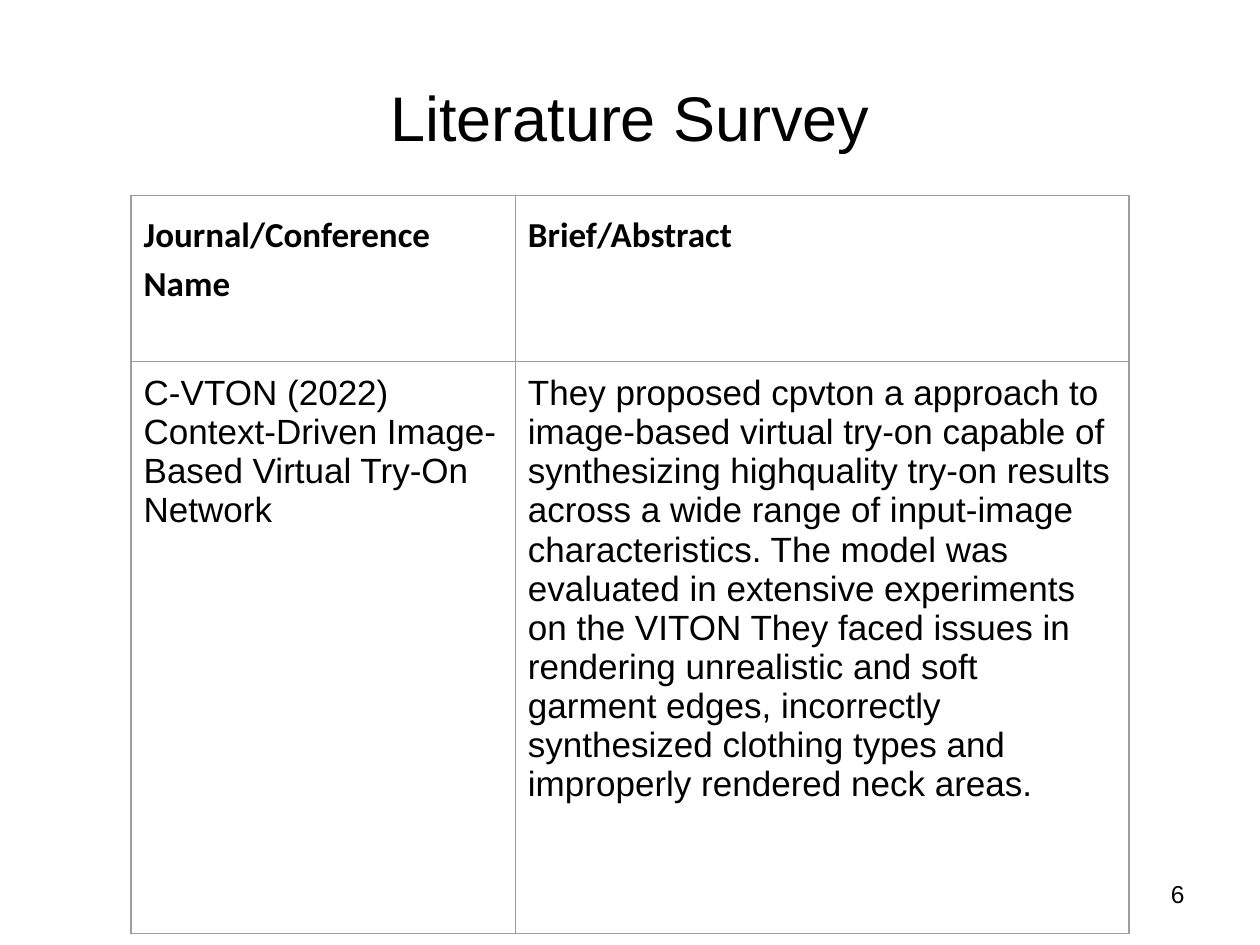
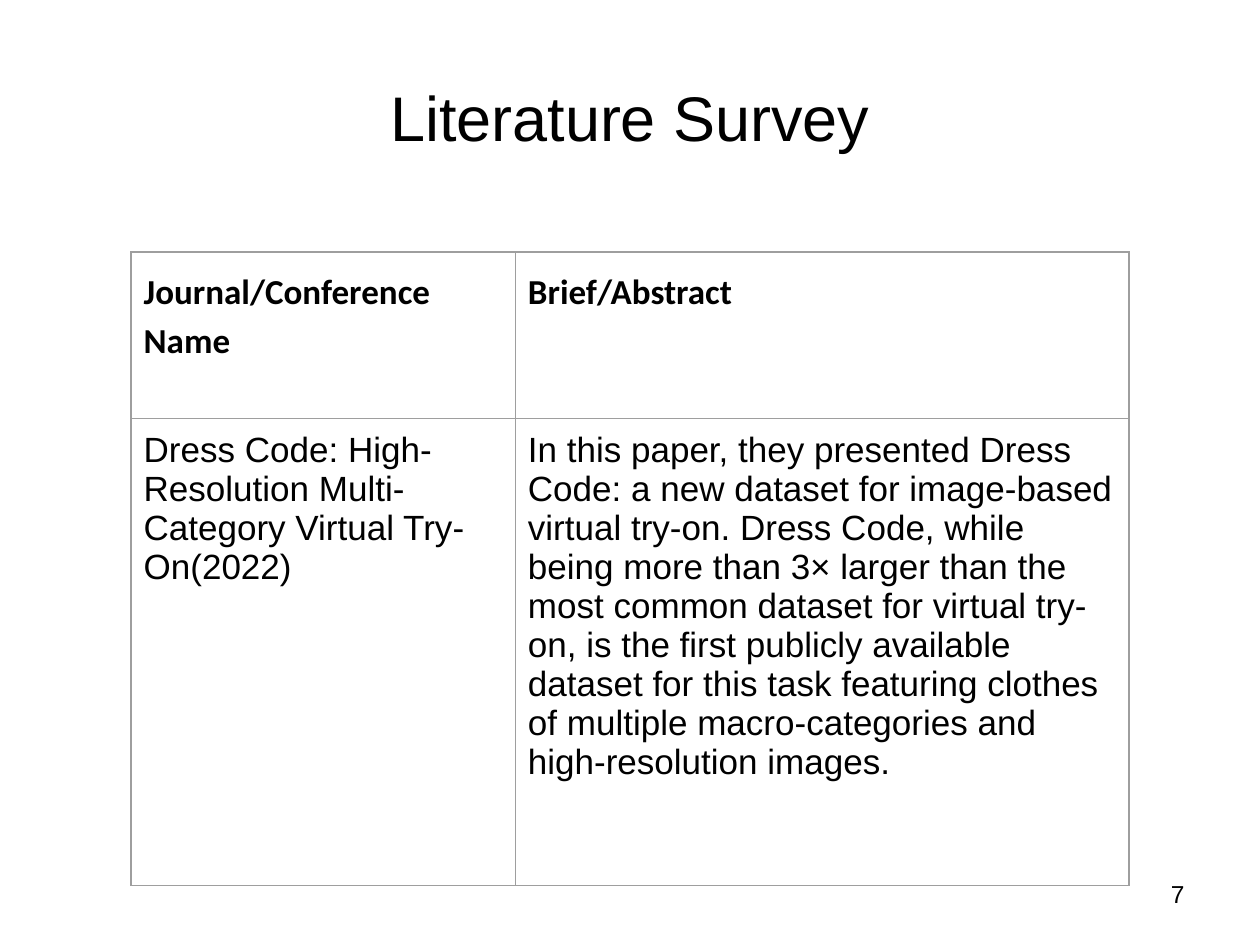
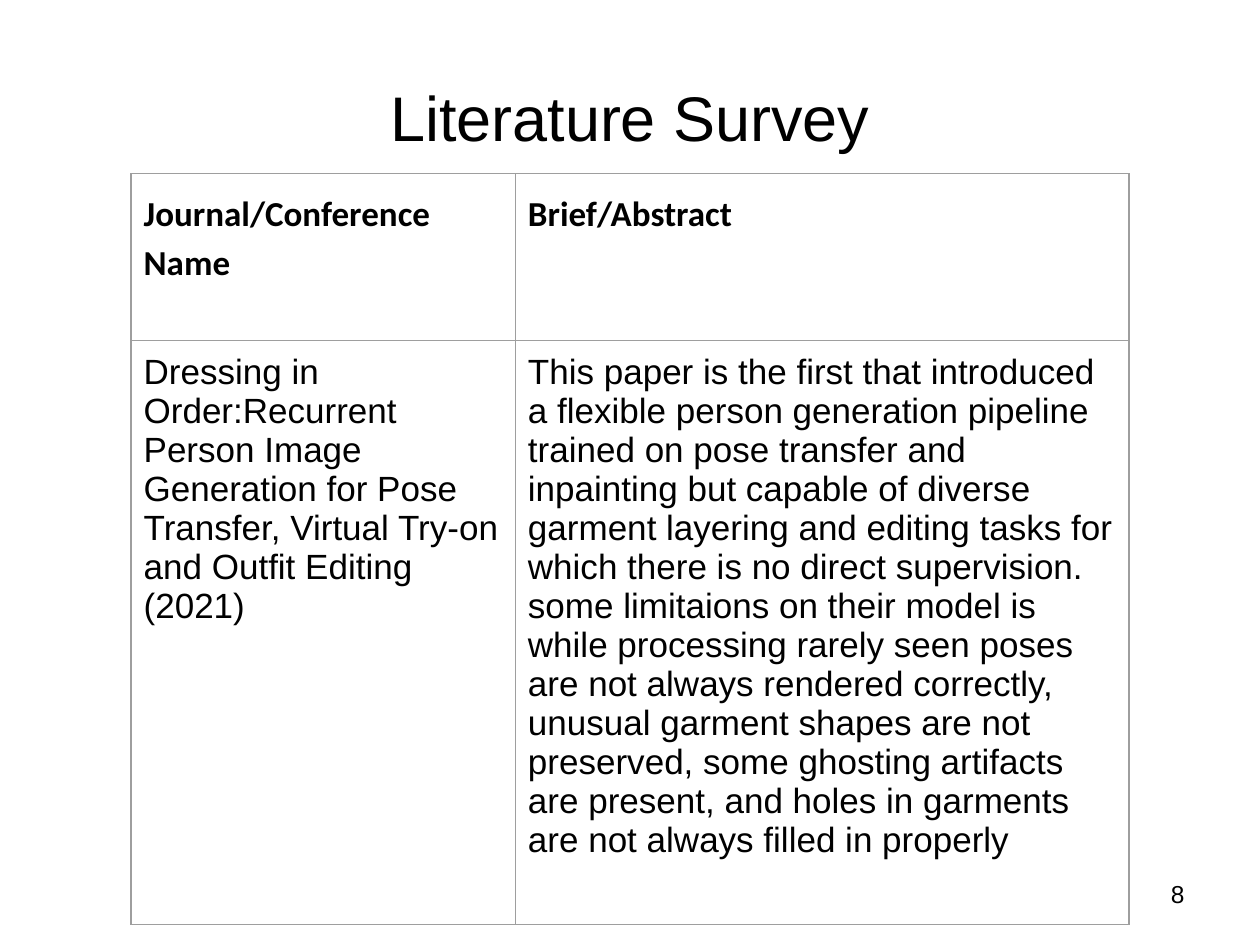
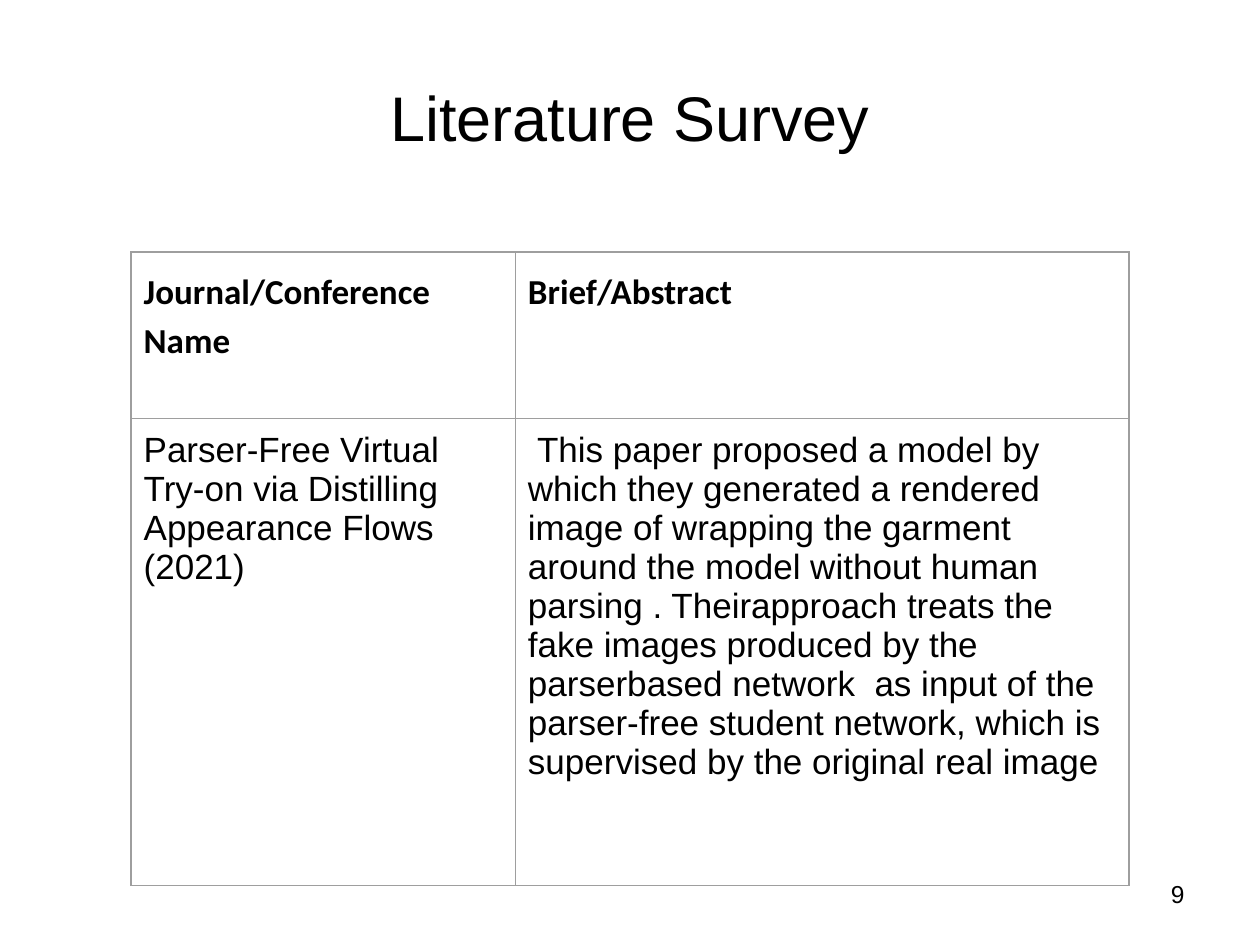
"""Build four literature survey slides, each with one paper in a two-column table."""
from lxml import etree
from pptx import Presentation
from pptx import util as u
from pptx.dml.color import RGBColor
from pptx.enum import text
from pptx.oxml import ns

COLORS = {"ink": "000000", "rule": "9E9E9E", "paper": "FFFFFF"}
FONTS = {
    "title": {"name": "Arial", "size": u.Pt(36), "bold": False},
    "number": {"name": "Arial", "size": u.Pt(14), "bold": False},
    "heading": {"name": "Calibri", "size": u.Pt(20), "bold": True},
    "body": {"name": "Arial", "size": u.Pt(20), "bold": False},
}
HEADINGS = ["Journal/Conference Name", "Brief/Abstract"]
COLUMN_WIDTHS = [3.05, 4.87]
HEADING_HEIGHT = 1.32
FIRST_NUMBER = 6
MARGINS = ["margin_left", "margin_right", "margin_top", "margin_bottom"]

PAPERS = [
    (1.55, 4.54,
     "C-VTON (2022) Context-Driven Image-Based Virtual Try-On Network",
     "They proposed cpvton a approach to image-based virtual try-on capable of "
     "synthesizing highquality try-on results across a wide range of input-image "
     "characteristics. The model was evaluated in extensive experiments on the VITON "
     "They faced issues in rendering unrealistic and soft garment edges, incorrectly "
     "synthesized clothing types and improperly rendered neck areas."),
    (2, 3.71,
     "Dress Code: High-Resolution Multi-Category Virtual Try-On(2022)",
     "In this paper, they presented Dress Code: a new dataset for image-based virtual "
     "try-on. Dress Code, while being more than 3× larger than the most common dataset "
     "for virtual try-on, is the first publicly available dataset for this task "
     "featuring clothes of multiple macro-categories and high-resolution images."),
    (1.38, 4.64,
     "Dressing in Order:Recurrent Person Image Generation for Pose Transfer, Virtual "
     "Try-on and Outfit Editing\n(2021)",
     "This paper is the first that introduced  a flexible person generation pipeline "
     "trained on pose transfer and inpainting but capable of diverse garment layering "
     "and editing tasks for which there is no direct supervision. some limitaions on "
     "their model is while processing rarely seen poses are not always rendered "
     "correctly, unusual garment shapes are not preserved, some ghosting artifacts are "
     "present, and holes in garments are not always filled in properly"),
    (2, 3.71,
     "Parser-Free Virtual Try-on via Distilling Appearance Flows\n(2021)",
     " This paper proposed a model by which they generated a rendered image of wrapping "
     "the garment around the model without human parsing . Theirapproach treats the fake "
     "images produced by the parserbased network  as input of the parser-free student "
     "network, which is supervised by the original real image"),
]


def write(frame, words, style, align, spacing=1.0):
    frame.text = words
    frame.word_wrap = True
    for paragraph in frame.paragraphs:
        paragraph.alignment = align
        paragraph.line_spacing = spacing
        for run in paragraph.runs:
            for key, value in FONTS[style].items():
                setattr(run.font, key, value)
            run.font.color.rgb = RGBColor.from_string(COLORS["ink"])


def rule_cell(cell):
    properties = cell._tc.get_or_add_tcPr()
    for side in ["lnL", "lnR", "lnT", "lnB"]:
        line = etree.SubElement(properties, ns.qn(f"a:{side}"), w=str(u.Pt(0.75)))
        fill = etree.SubElement(line, ns.qn("a:solidFill"))
        etree.SubElement(fill, ns.qn("a:srgbClr"), val=COLORS["rule"])
    cell.fill.background()


prs = Presentation()
prs.slide_width, prs.slide_height = u.Inches(10), u.Inches(7.5)
background = prs.slide_master.background.fill
background.solid()
background.fore_color.rgb = RGBColor.from_string(COLORS["paper"])

for number, (top, abstract_height, paper, abstract) in enumerate(PAPERS, FIRST_NUMBER):
    slide = prs.slides.add_slide(prs.slide_layouts[5])

    title = slide.shapes.title
    title.left, title.top = u.Inches(0.5), u.Inches(0.3)
    title.width, title.height = u.Inches(9), u.Inches(1.25)
    write(title.text_frame, "Literature Survey", "title", text.PP_ALIGN.CENTER)
    title.text_frame.vertical_anchor = text.MSO_ANCHOR.MIDDLE

    page = slide.shapes.add_textbox(
        u.Inches(7.17), u.Inches(6.83), u.Inches(2.33), u.Inches(0.52)).text_frame
    write(page, str(number), "number", text.PP_ALIGN.RIGHT)
    page.vertical_anchor = text.MSO_ANCHOR.MIDDLE

    survey = slide.shapes.add_table(
        2, 2, u.Inches(1.04), u.Inches(top), u.Inches(sum(COLUMN_WIDTHS)),
        u.Inches(HEADING_HEIGHT + abstract_height)).table
    survey.first_row = survey.horz_banding = False
    for column, width in zip(survey.columns, COLUMN_WIDTHS):
        column.width = u.Inches(width)
    rows = [(HEADINGS, HEADING_HEIGHT, "heading", 1.15),
            ([paper, abstract], abstract_height, "body", 1.0)]
    for row, (entries, height, style, spacing) in zip(survey.rows, rows):
        row.height = u.Inches(height)
        for cell, entry in zip(row.cells, entries):
            write(cell.text_frame, entry, style, text.PP_ALIGN.LEFT, spacing)
            for margin in MARGINS:
                setattr(cell, margin, u.Inches(0.1))
            rule_cell(cell)

prs.save("out.pptx")
